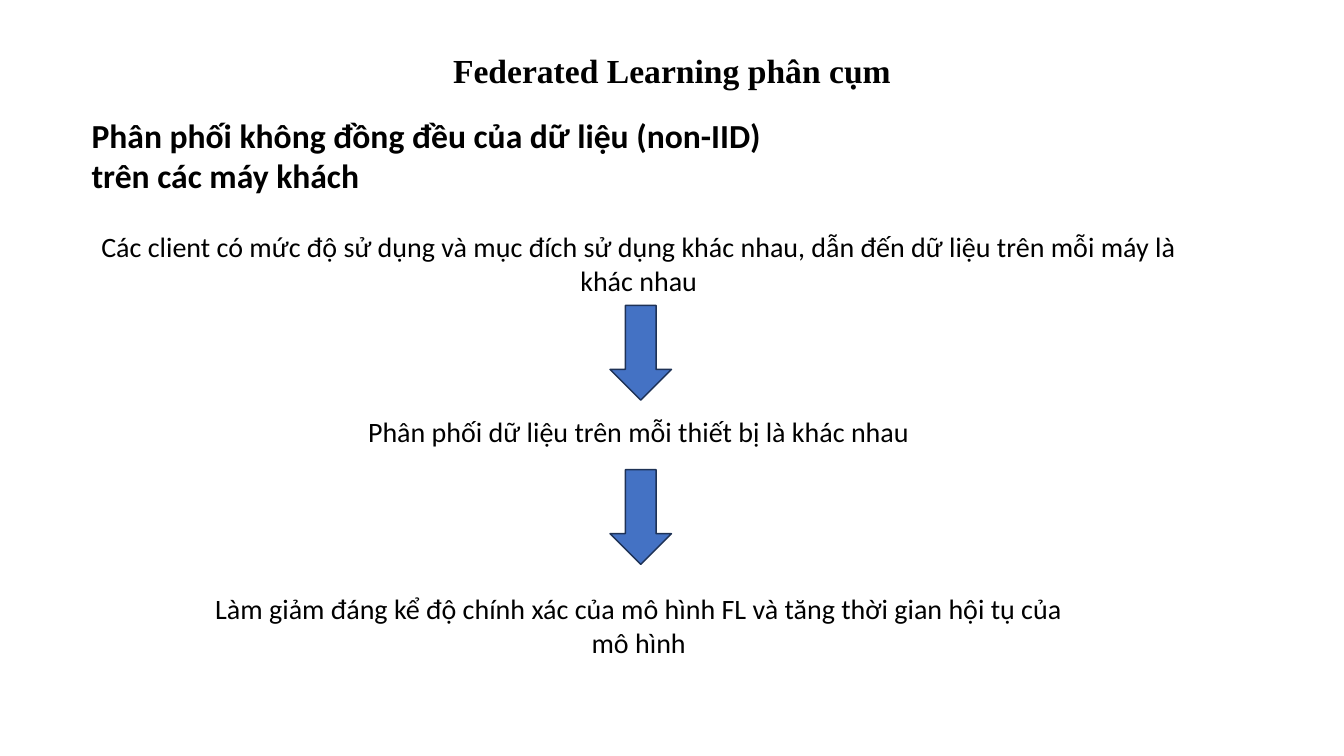
from dataclasses import dataclass
from pptx import Presentation
from pptx.dml.color import RGBColor as Rgb
from pptx.enum.shapes import MSO_SHAPE as Shape
from pptx.enum.text import MSO_AUTO_SIZE as Fit, PP_ALIGN as Align
from pptx.util import Inches, Pt

TITLE = "Federated Learning phân cụm"
HEAD = "Phân phối không đồng đều của dữ liệu (non-IID) trên các máy khách"
STEPS = [
    ("Các client có mức độ sử dụng và mục đích sử dụng khác nhau, "
     "dẫn đến dữ liệu trên mỗi máy là khác nhau", 2.23, 11.05, 0.77),
    ("Phân phối dữ liệu trên mỗi thiết bị là khác nhau", 4.06, 11.05, 0.44),
    ("Làm giảm đáng kể độ chính xác của mô hình FL "
     "và tăng thời gian hội tụ của mô hình", 5.82, 8.98, 0.77),
]
ARROWS = [3.03, 4.66]


@dataclass(frozen=True)
class Theme:
    ink: str = "000000"
    fill: str = "4472C4"
    edge: str = "1E3256"
    serif: str = "Times New Roman"
    sans: str = "Calibri"
    big: int = 24
    body: int = 20


theme = Theme()
WIDE, HIGH = 13.33, 7.5
LEFT = 0.81
STEP_MID = LEFT + 11.05 / 2
ARROW_W, ARROW_H = 0.61, 0.94
ARROW_X = 6.05


def add_text(slide, text, box, size, font, bold=False, align=Align.CENTER):
    frame = slide.shapes.add_textbox(*map(Inches, box)).text_frame
    frame.word_wrap = True
    frame.auto_size = Fit.SHAPE_TO_FIT_TEXT
    para = frame.paragraphs[0]
    para.alignment = align
    run = para.add_run()
    run.text = text
    run.font.name = font
    run.font.size = Pt(size)
    run.font.bold = bold
    run.font.color.rgb = Rgb.from_string(theme.ink)


def add_arrow(slide, top):
    box = map(Inches, (ARROW_X, top, ARROW_W, ARROW_H))
    arrow = slide.shapes.add_shape(Shape.DOWN_ARROW, *box)
    arrow.shadow.inherit = False
    arrow.fill.solid()
    arrow.fill.fore_color.rgb = Rgb.from_string(theme.fill)
    arrow.line.color.rgb = Rgb.from_string(theme.edge)
    arrow.line.width = Pt(1)


def main():
    deck = Presentation()
    deck.slide_width, deck.slide_height = Inches(WIDE), Inches(HIGH)
    slide = deck.slides.add_slide(deck.slide_layouts[6])
    add_text(slide, TITLE, (3.33, 0.45, 6.67, 0.5), theme.big, theme.serif, True)
    add_text(slide, HEAD, (LEFT, 1.09, 7.19, 0.91), theme.big, theme.sans,
             True, Align.LEFT)
    for text, top, width, height in STEPS:
        box = (STEP_MID - width / 2, top, width, height)
        add_text(slide, text, box, theme.body, theme.sans)
    for top in ARROWS:
        add_arrow(slide, top)
    deck.save("out.pptx")


if __name__ == "__main__":
    main()
